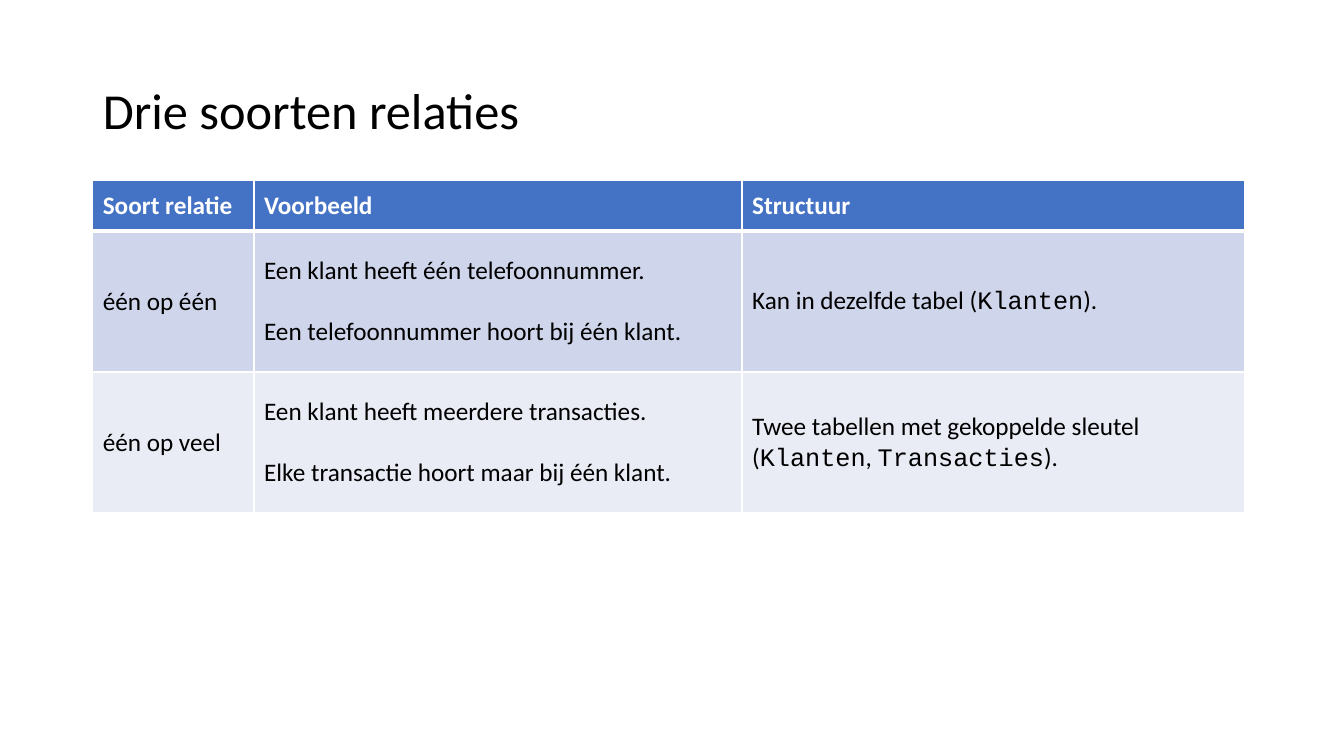
from lxml.etree import SubElement
from pptx import Presentation
from pptx.dml.color import RGBColor
from pptx.enum.text import MSO_ANCHOR, PP_ALIGN
from pptx.oxml.ns import qn
from pptx.util import Inches, Pt

BLACK = RGBColor(0x00, 0x00, 0x00)
WHITE = RGBColor(0xFF, 0xFF, 0xFF)
HEADER_BLUE = RGBColor(0x44, 0x72, 0xC4)
BAND_DARK = RGBColor(0xCF, 0xD5, 0xEA)
BAND_LIGHT = RGBColor(0xE9, 0xEB, 0xF5)
BODY_FONT, CODE_FONT = "Calibri", "Courier New"

# One list of paragraphs per cell; table names between backticks are code
RELATIONS = [
    [["Soort relatie"], ["Voorbeeld"], ["Structuur"]],
    [["één op één"],
     ["Een klant heeft één telefoonnummer.",
      "Een telefoonnummer hoort bij één klant."],
     ["Kan in dezelfde tabel (`Klanten`)."]],
    [["één op veel"],
     ["Een klant heeft meerdere transacties.",
      "Elke transactie hoort maar bij één klant."],
     ["Twee tabellen met gekoppelde sleutel (`Klanten`, `Transacties`)."]],
]
ROW_FILLS = [HEADER_BLUE, BAND_DARK, BAND_LIGHT]
ROW_HEIGHTS = [0.5, 1.4, 1.4]
COLUMN_WIDTHS = [1.6, 4.84, 4.98]


def add_run(paragraph, text, **formats):
    run = paragraph.add_run()
    run.text = text
    color = formats.pop("color")
    for name, value in formats.items():
        setattr(run.font, name, value)
    run.font.color.rgb = color


def add_border(cell, side, width):
    line = SubElement(cell._tc.get_or_add_tcPr(), qn(f"a:{side}"), w=str(Pt(width)))
    fill = SubElement(line, qn("a:solidFill"))
    SubElement(fill, qn("a:srgbClr"), val=str(WHITE))


prs = Presentation()
prs.slide_width, prs.slide_height = Inches(13.33), Inches(7.5)
slide = prs.slides.add_slide(prs.slide_layouts[5])

# Title
title = slide.shapes.title
title.left, title.top = Inches(0.92), Inches(0.4)
title.width, title.height = Inches(11.5), Inches(1.45)
title.text_frame.vertical_anchor = MSO_ANCHOR.MIDDLE
heading = title.text_frame.paragraphs[0]
heading.alignment = PP_ALIGN.LEFT
heading.line_spacing = 0.9
add_run(heading, "Drie soorten relaties", name=BODY_FONT, size=Pt(36), color=BLACK)

# Table of relations
relations = slide.shapes.add_table(
    len(RELATIONS), len(COLUMN_WIDTHS), Inches(0.92), Inches(1.79),
    Inches(sum(COLUMN_WIDTHS)), Inches(sum(ROW_HEIGHTS))).table
for column, width in zip(relations.columns, COLUMN_WIDTHS):
    column.width = Inches(width)

for r, (row, height) in enumerate(zip(RELATIONS, ROW_HEIGHTS)):
    relations.rows[r].height = Inches(height)
    is_header = r == 0
    for c, texts in enumerate(row):
        cell = relations.cell(r, c)
        cell.vertical_anchor = MSO_ANCHOR.MIDDLE

        # Borders, with a thick rule under the header
        borders = {"lnL": 1, "lnR": 1, "lnT": 3 if r == 1 else 1,
                   "lnB": 3 if is_header else 1}
        for side, width in borders.items():
            add_border(cell, side, width)
        cell.fill.solid()
        cell.fill.fore_color.rgb = ROW_FILLS[r]

        # Cell text
        for i, text in enumerate(texts):
            frame = cell.text_frame
            paragraph = frame.add_paragraph() if i else frame.paragraphs[0]
            if i:
                paragraph.space_before = Pt(22)
            for part, piece in enumerate(text.split("`")):
                add_run(paragraph, piece, name=CODE_FONT if part % 2 else BODY_FONT,
                        size=Pt(18), bold=is_header,
                        color=WHITE if is_header else BLACK)

prs.save("out.pptx")
